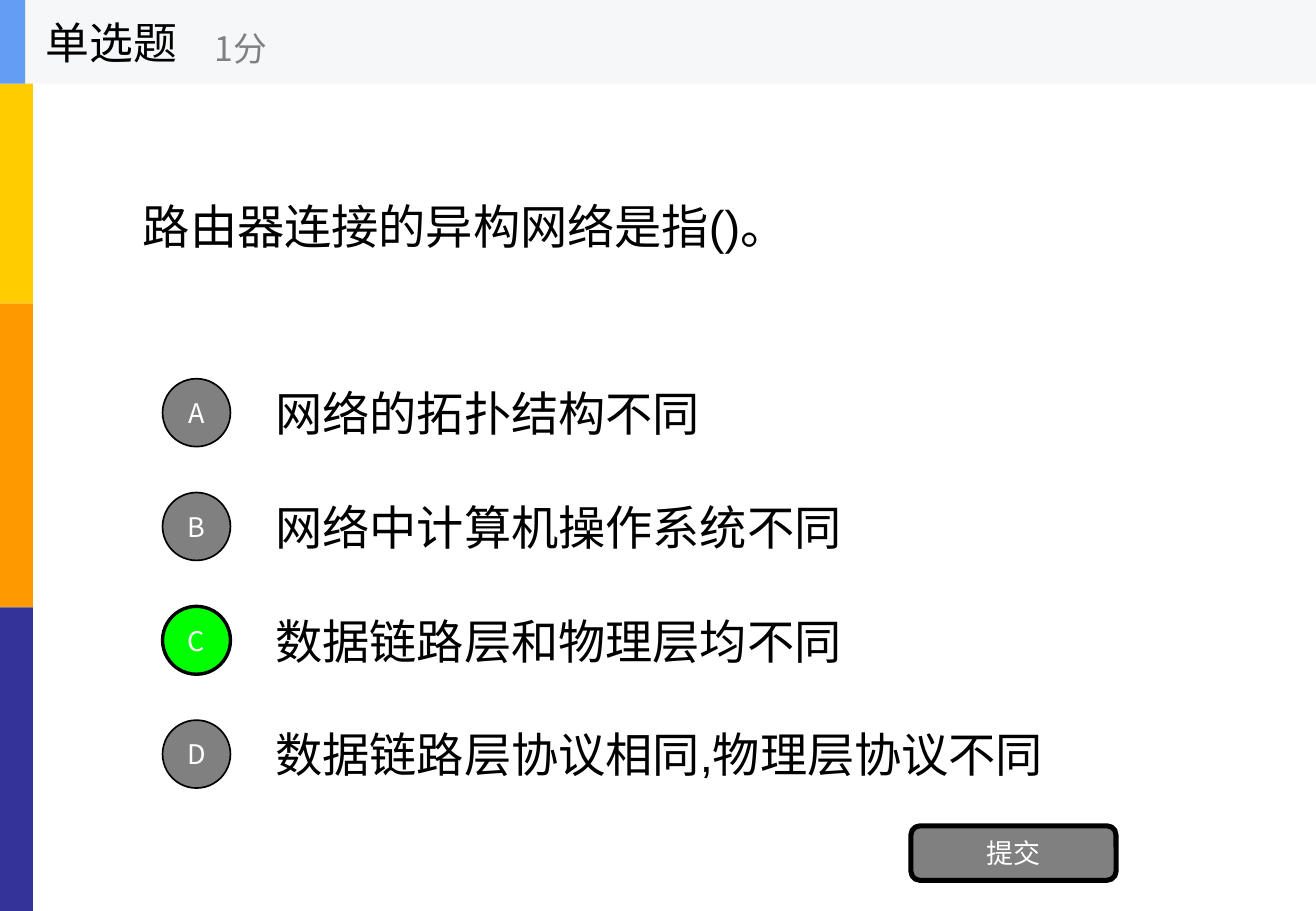
from pptx import Presentation
from pptx.dml.color import RGBColor
from pptx.enum import shapes, text
from pptx.oxml import ns
from pptx.util import Cm, Pt
from lxml import etree

HUES = {
    "gold": "FFCC00", "orange": "FF9900", "navy": "333399",
    "black": "000000", "white": "FFFFFF", "gray": "808080",
    "green": "00FF00", "pale": "F6F7F8", "blue": "639EF4",
}
SANS = "Noto Sans CJK SC"
KIND = shapes.MSO_SHAPE
LEFT, MID = text.PP_ALIGN.LEFT, text.PP_ALIGN.CENTER
WIDE, HIGH = 27.52, 19.05


def hue(name):
    return RGBColor.from_string(HUES[name])


def write(shape, words, size, color, face=SANS, align=LEFT, wrap=True, pad=0.25):
    frame = shape.text_frame
    frame.text = words
    form = {
        "word_wrap": wrap, "auto_size": text.MSO_AUTO_SIZE.NONE,
        "vertical_anchor": text.MSO_ANCHOR.MIDDLE,
        "margin_left": Cm(pad), "margin_right": Cm(pad),
        "margin_top": Cm(pad / 2), "margin_bottom": Cm(pad / 2),
    }
    for key, value in form.items():
        setattr(frame, key, value)
    para = frame.paragraphs[0]
    para.alignment = align
    run = para.runs[0]
    for key, value in {"name": face, "size": Pt(size), "bold": False}.items():
        setattr(run.font, key, value)
    run.font.color.rgb = hue(color)
    east = etree.SubElement(run.font._element, ns.qn("a:ea"))
    east.set("typeface", SANS)


def label(tree, box, words, size, color, **form):
    write(tree.add_textbox(*map(Cm, box)), words, size, color, **form)


def block(tree, kind, box, fill, edge=0):
    shape = tree.add_shape(kind, *map(Cm, box))
    shape.shadow.inherit = False
    shape.fill.solid()
    shape.fill.fore_color.rgb = hue(fill)
    if edge:
        shape.line.color.rgb = hue("black")
        shape.line.width = Pt(edge)
    else:
        shape.line.fill.background()
    return shape


def stripe(tree, box, fills):
    x, y, w, h = box
    step = h / len(fills)
    for i, fill in enumerate(fills):
        block(tree, KIND.RECTANGLE, (x, y + i * step, w, step), fill)


def header(tree, box, words, score):
    x, y, w, h = box
    group = tree.add_group_shape().shapes
    block(group, KIND.RECTANGLE, box, "pale")
    block(group, KIND.RECTANGLE, (x, y, 0.53, h), "blue")
    label(group, (x + 0.71, y, 5.28, h), words, 26, "black", wrap=False)
    label(group, (x + 4.24, y + 0.3, 6.35, 1.42), score, 20, "gray", wrap=False)


def ask(title, box, words):
    for key, value in zip(("left", "top", "width", "height"), box):
        setattr(title, key, Cm(value))
    write(title, words, 28, "black", face="Arial")


def choices(tree, box, items, right):
    x, y, w, h = box
    step, row, disc, gap = h / len(items), 1.78, 1.42, 2.11
    for i, words in enumerate(items):
        top = y + i * step
        fill, edge = ("green", 2) if i == right else ("gray", 1)
        label(tree, (x + gap, top, w - gap, row), words, 28, "black", face="Arial")
        mark = block(tree, KIND.OVAL, (x, top + (row - disc) / 2, disc, disc), fill, edge)
        write(mark, "ABCD"[i], 16, "white", align=MID, pad=0)


def button(tree, box, words):
    shape = block(tree, KIND.ROUNDED_RECTANGLE, box, "gray", 3)
    write(shape, words, 16, "white", align=MID, pad=0)


def main():
    deck = Presentation()
    deck.slide_width, deck.slide_height = Cm(WIDE), Cm(HIGH)
    slide = deck.slides.add_slide(deck.slide_layouts[5])
    tree = slide.shapes
    stripe(tree, (0, 0, 0.69, HIGH), ("gold", "orange", "navy"))
    ask(tree.title, (2.74, 1.75, 22.02, 5.94), "路由器连接的异构网络是指()。")
    choices(tree, (3.4, 7.74, 21.36, 9.52), (
        "网络的拓扑结构不同",
        "网络中计算机操作系统不同",
        "数据链路层和物理层均不同",
        "数据链路层协议相同,物理层协议不同",
    ), right=2)
    button(tree, (19.05, 17.27, 4.29, 1.14), "提交")
    header(tree, (0, 0, WIDE, 1.75), "单选题", "1分")
    deck.save("out.pptx")


if __name__ == "__main__":
    main()
